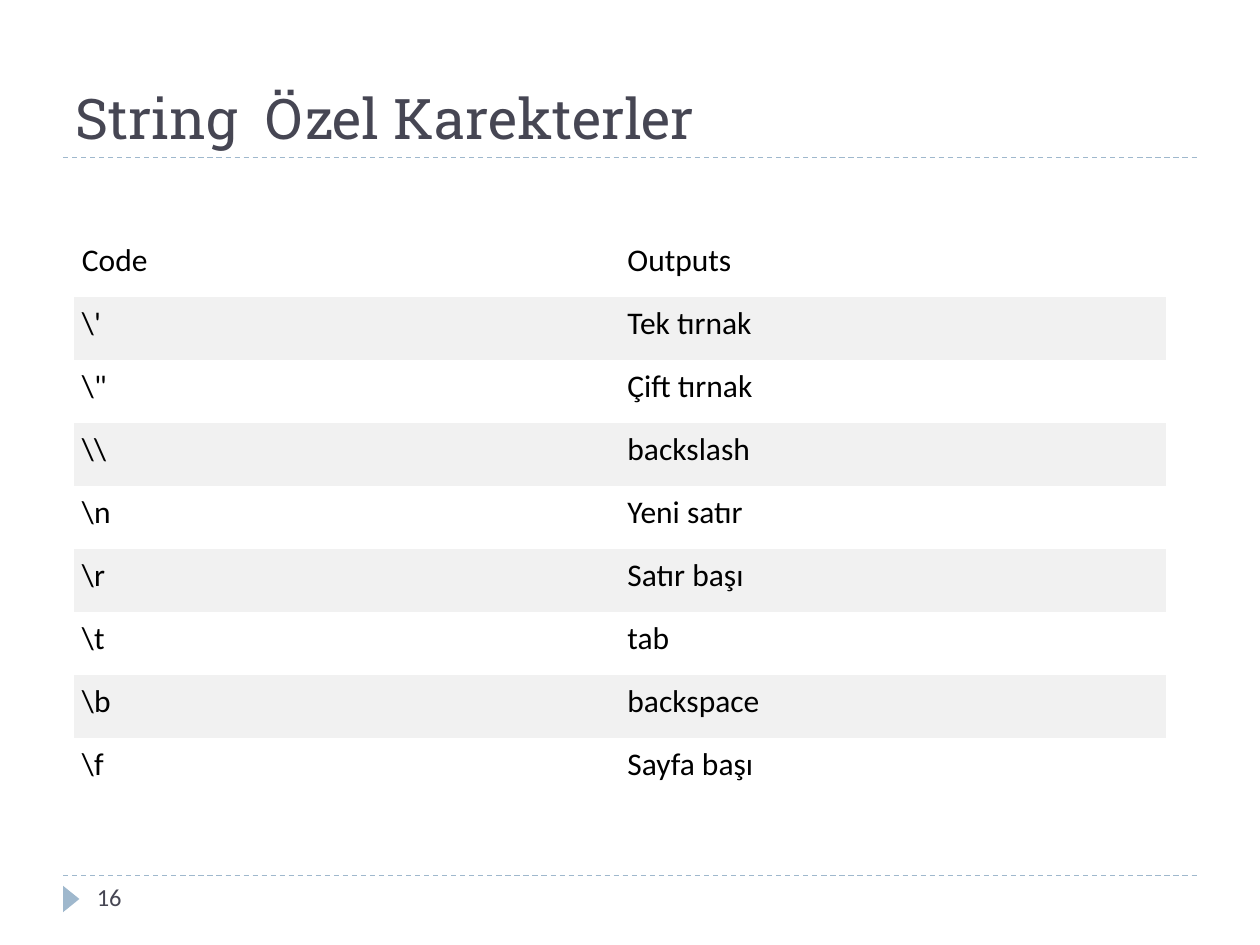
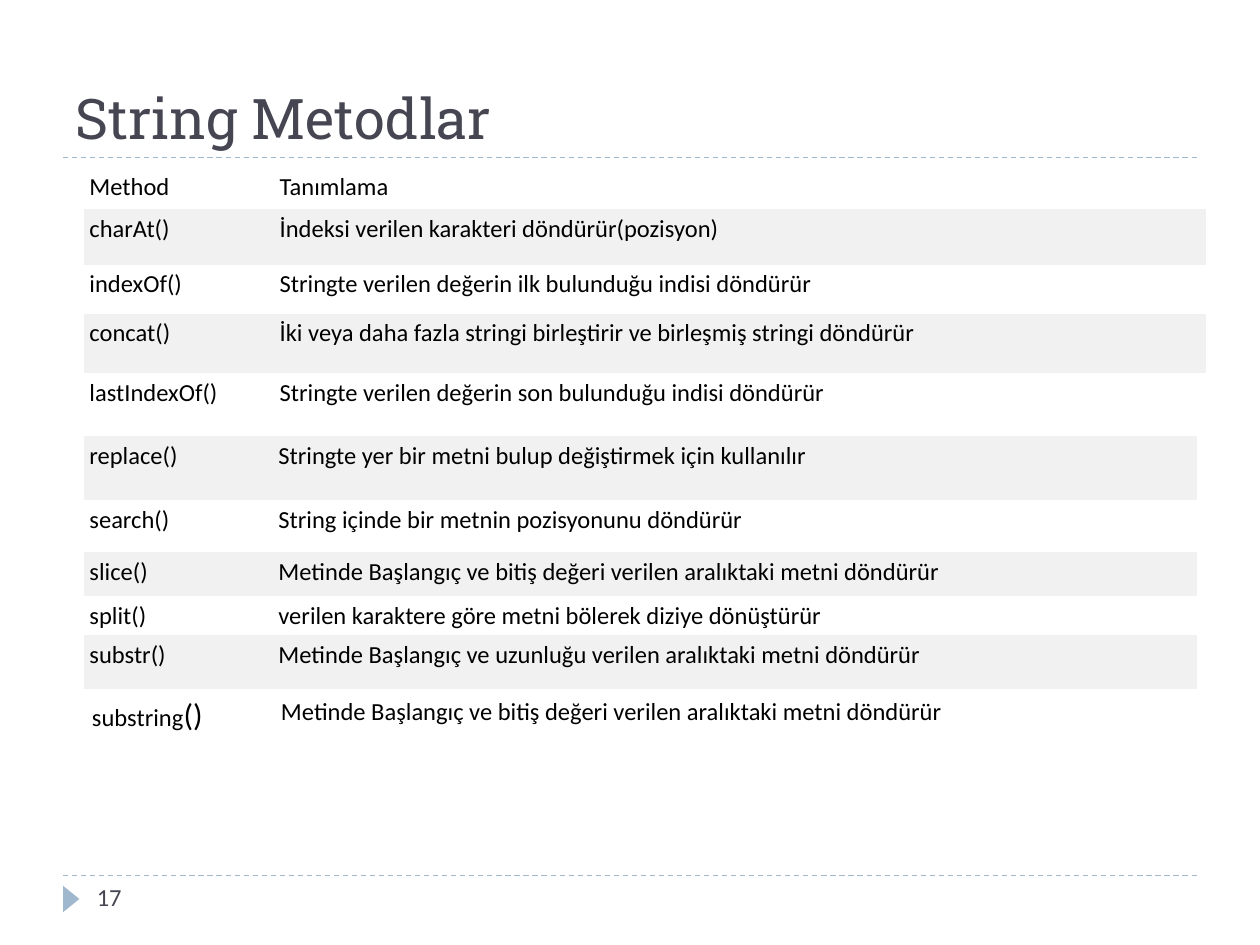
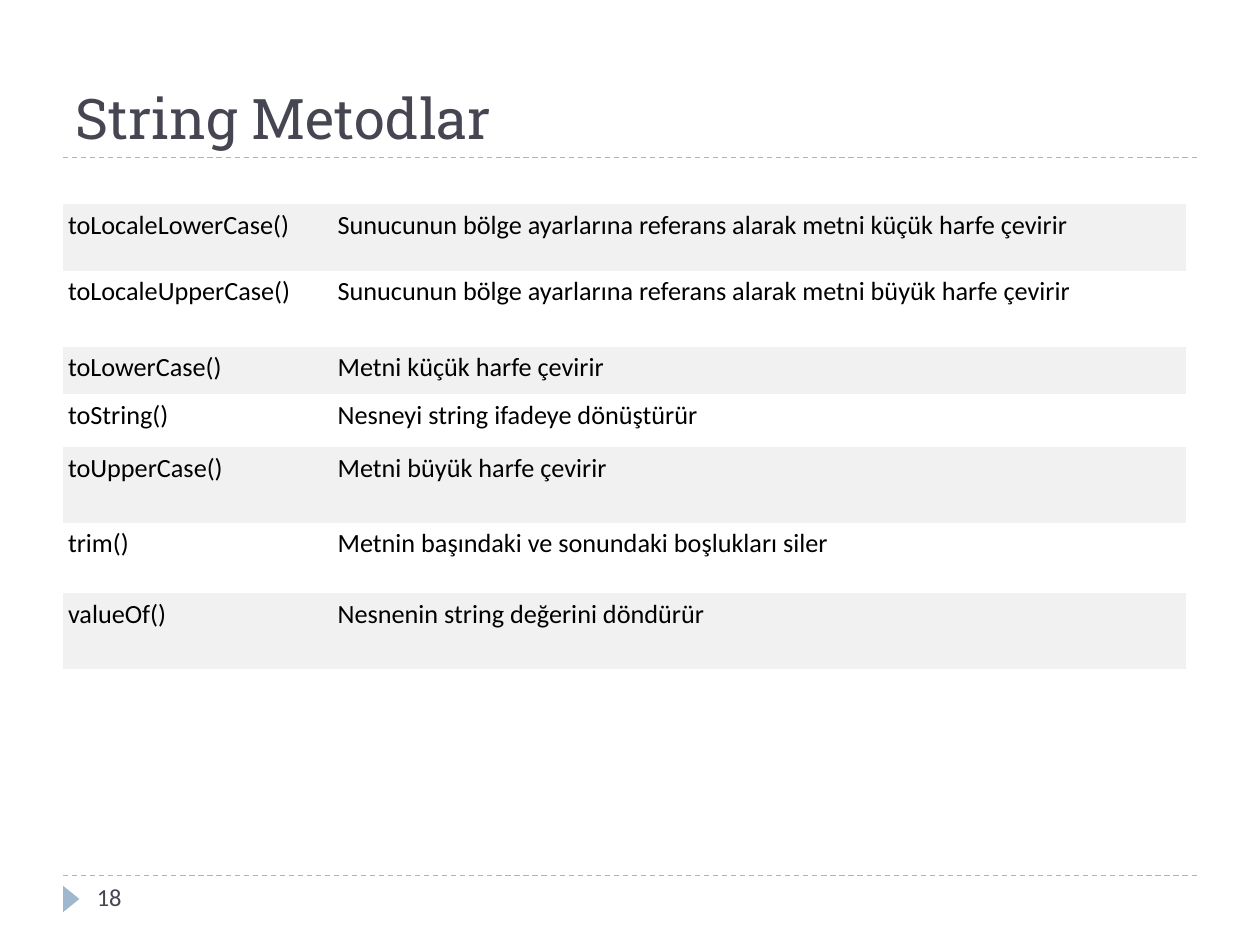
from pptx import Presentation
from pptx.util import Inches, Pt
from pptx.dml.color import RGBColor
from pptx.enum.dml import MSO_LINE
from pptx.enum.shapes import MSO_CONNECTOR, MSO_SHAPE
from pptx.enum.text import MSO_ANCHOR, MSO_AUTO_SIZE, PP_ALIGN
from pptx.oxml.ns import qn
from lxml.etree import SubElement

HUE = {"ink": "464653", "rule": "9FB8CD", "text": "000000",
       "band": "F1F1F1", "plain": "FFFFFF"}
HEAD, BODY = "Roboto Slab", "Calibri"
PLAIN = "{2D5ABB26-0587-4C30-8999-92F81FD0307C}"

deck = Presentation()
deck.slide_width, deck.slide_height = Inches(10), Inches(7.5)
COL, ROW = deck.slide_width / 20, deck.slide_height / 15


def place(left, top, width, height):
    return (round(left * COL), round(top * ROW),
            round(width * COL), round(height * ROW))


def tint(name):
    return RGBColor.from_string(HUE[name])


def put(para, text, size=14, font=BODY, hue="text"):
    run = para.add_run()
    run.text = text
    run.font.size = Pt(size)
    run.font.name = font
    run.font.color.rgb = tint(hue)


def rule(slide, left, top, width):
    x, y, w, _ = place(left, top, width, 0)
    line = slide.shapes.add_connector(MSO_CONNECTOR.STRAIGHT, x, y, x + w, y)
    line.line.color.rgb = tint("rule")
    line.line.width = Pt(0.75)
    line.line.dash_style = MSO_LINE.DASH
    SubElement(line._element.spPr, qn("a:effectLst"))


def head(slide, text, box):
    title = slide.shapes.title
    title.left, title.top, title.width, title.height = place(*box)
    frame = title.text_frame
    frame.auto_size = MSO_AUTO_SIZE.NONE
    frame.vertical_anchor = MSO_ANCHOR.BOTTOM
    para = frame.paragraphs[0]
    para.alignment = PP_ALIGN.LEFT
    put(para, text, size=32, font=HEAD, hue="ink")
    left, top, width, height = box
    rule(slide, left, top + height, width)


def foot(slide, page, box):
    left, top, width, height = box
    rule(slide, left, top, width)
    mark = slide.shapes.add_shape(
        MSO_SHAPE.ISOSCELES_TRIANGLE,
        *place(left - 0.08, top + 0.24, 0.42, 0.26))
    mark.rotation = 90
    mark.shadow.inherit = False
    mark.fill.solid()
    mark.fill.fore_color.rgb = tint("rule")
    mark.line.fill.background()
    note = slide.shapes.add_textbox(
        *place(left + 0.34, top, 4.34, height))
    note.text_frame.word_wrap = True
    put(note.text_frame.paragraphs[0], str(page), hue="ink")


def page(number, title):
    slide = deck.slides.add_slide(deck.slide_layouts[5])
    head(slide, title, (1, 0.34, 18, 2.16))
    foot(slide, number, (1, 13.9, 18, 0.8))
    return slide


def grid(slide, left, top, cols, rows, data, size=14, pad=0.04, band=0):
    box = place(left, top, sum(cols), sum(rows))
    table = slide.shapes.add_table(len(rows), len(cols), *box).table
    table.first_row = table.horz_banding = False
    table._tbl.tblPr.find(qn("a:tableStyleId")).text = PLAIN
    for col, width in zip(table.columns, cols):
        col.width = round(width * COL)
    for i, (row, tall, texts) in enumerate(zip(table.rows, rows, data)):
        row.height = round(tall * ROW)
        for cell, text in zip(row.cells, texts):
            cell.margin_left = cell.margin_right = Inches(pad)
            cell.margin_top = cell.margin_bottom = Inches(pad)
            cell.fill.solid()
            cell.fill.fore_color.rgb = tint(
                "band" if i % 2 == band else "plain")
            put(cell.text_frame.paragraphs[0], text, size=size)
    return table


CODES = [
    ("Code", "Outputs"),
    ("\\'", "Tek tırnak"),
    ('\\"', "Çift tırnak"),
    ("\\\\", "backslash"),
    ("\\n", "Yeni satır"),
    ("\\r", "Satır başı"),
    ("\\t", "tab"),
    ("\\b", "backspace"),
    ("\\f", "Sayfa başı"),
]
FIND = [
    ("Method", "Tanımlama"),
    ("charAt()", "İndeksi verilen karakteri döndürür(pozisyon)"),
    ("indexOf()", "Stringte verilen değerin ilk bulunduğu indisi döndürür"),
    ("concat()",
     "İki veya daha fazla stringi birleştirir ve birleşmiş stringi döndürür"),
    ("lastIndexOf()",
     "Stringte verilen değerin son bulunduğu indisi döndürür"),
]
RANGE = "Metinde Başlangıç ve bitiş değeri verilen aralıktaki metni döndürür"
CUT = [
    ("replace()", "Stringte yer bir metni bulup değiştirmek için kullanılır"),
    ("search()", "String içinde bir metnin pozisyonunu döndürür"),
    ("slice()", RANGE),
    ("split()", "verilen karaktere göre metni bölerek diziye dönüştürür"),
    ("substr()",
     "Metinde Başlangıç ve uzunluğu verilen aralıktaki metni döndürür"),
]
LOCAL = "Sunucunun bölge ayarlarına referans alarak metni {} harfe çevirir"
CASE = [
    ("toLocaleLowerCase()", LOCAL.format("küçük")),
    ("toLocaleUpperCase()", LOCAL.format("büyük")),
    ("toLowerCase()", "Metni küçük harfe çevirir"),
    ("toString()", "Nesneyi string ifadeye dönüştürür"),
    ("toUpperCase()", "Metni büyük harfe çevirir"),
    ("trim()", "Metnin başındaki ve sonundaki boşlukları siler"),
    ("valueOf()", "Nesnenin string değerini döndürür"),
]

slide = page(16, "String  Özel Karekterler")
grid(slide, 1.18, 3.72, [8.66] * 2, [1] * len(CODES), CODES,
     size=18, pad=0.06, band=1)

slide = page(17, "String Metodlar")
grid(slide, 1.34, 2.66, [3.02, 14.78], [0.66, 0.88, 0.78, 0.94, 1.12],
     FIND, band=1)
WIDE = [3, 14.66]
grid(slide, 1.34, 6.92, WIDE, [1.02, 0.82, 0.7, 0.62, 0.86], CUT)
last = grid(slide, 1.34, 10.94, WIDE, [0.78], [("substring", RANGE)],
            pad=0.06, band=1)
put(last.cell(0, 0).text_frame.paragraphs[0], "()", size=18)

slide = page(18, "String Metodlar")
grid(slide, 1, 3.24, [4.28, 13.54], [1.06, 1.2, 0.76, 0.84, 1.2, 1.12, 1.2],
     CASE, size=15)

deck.save("out.pptx")
